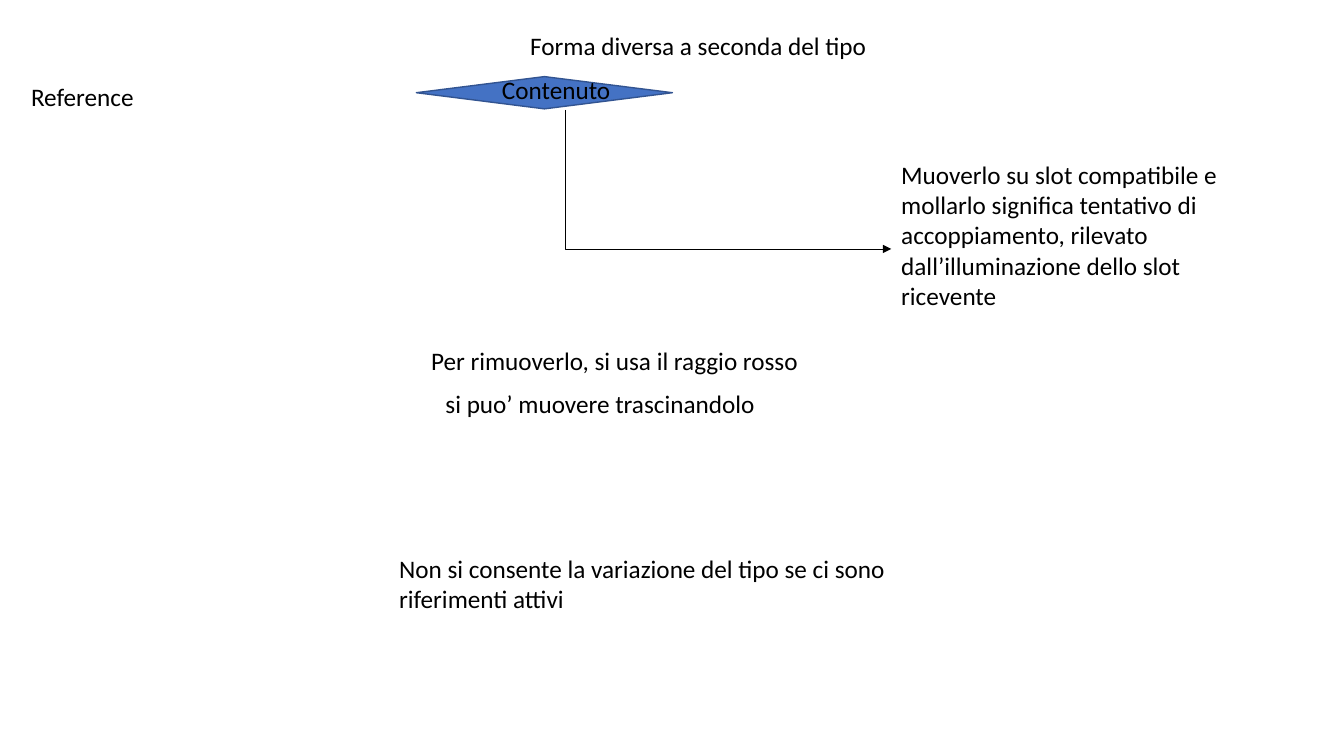
"""Builds the slide on how references to a content slot behave."""
from lxml import etree
from pptx import Presentation
from pptx.dml.color import RGBColor
from pptx.enum.shapes import MSO_CONNECTOR, MSO_SHAPE
from pptx.enum.text import MSO_AUTO_SIZE
from pptx.oxml.ns import qn
from pptx.util import Inches, Pt

DIAMOND = MSO_SHAPE.DIAMOND
ELBOW = MSO_CONNECTOR.ELBOW
GROW = MSO_AUTO_SIZE.SHAPE_TO_FIT_TEXT
FONT = "Calibri"
COLORS = {"text": "000000", "fill": "4472C4", "outline": "325491"}

NOTES = [
    ("Muoverlo su slot compatibile e mollarlo significa tentativo di "
     "accoppiamento, rilevato dall’illuminazione dello slot ricevente",
     8.84, 1.53, 3.63, 1.62),
    ("Forma diversa a seconda del tipo", 5.16, 0.25, 5.95, 0.4),
    ("Reference", 0.21, 0.76, 1.54, 0.71),
    ("Contenuto", 4.88, 0.69, 1.45, 0.4),
    (" Per rimuoverlo, si usa il raggio rosso", 4.12, 3.38, 5.95, 0.4),
    ("si puo’ muovere trascinandolo", 4.32, 3.8, 4.43, 0.4),
    ("Non si consente la variazione del tipo se ci sono riferimenti attivi",
     3.86, 5.44, 5.95, 0.71),
]


def color(name):
    """Return the named colour."""
    return RGBColor.from_string(COLORS[name])


def add_note(s, text, x, y, w, h):
    """Add a wrapped text box with one run."""
    sp = s.shapes.add_textbox(Inches(x), Inches(y), Inches(w), Inches(h))
    tf = sp.text_frame
    tf.word_wrap = True
    tf.auto_size = GROW
    r = tf.paragraphs[0].add_run()
    r.text = text
    r.font.name = FONT
    r.font.size = Pt(18)
    r.font.color.rgb = color("text")


def add_diamond(s, x, y, w, h):
    """Add the filled diamond behind the content label."""
    sp = s.shapes.add_shape(DIAMOND, Inches(x), Inches(y), Inches(w), Inches(h))
    sp.shadow.inherit = False
    sp.fill.solid()
    sp.fill.fore_color.rgb = color("fill")
    sp.line.color.rgb = color("outline")
    sp.line.width = Pt(1)


def add_corner_arrow(s, x1, y1, x2, y2):
    """Add an arrow that runs down, then right, with a single corner."""
    cx, cy = (x1 + x2) / 2, (y1 + y2) / 2
    half_w, half_h = (y2 - y1) / 2, (x2 - x1) / 2
    cxn = s.shapes.add_connector(
        ELBOW, Inches(cx + half_w), Inches(cy - half_h),
        Inches(cx - half_w), Inches(cy + half_h))
    cxn.line.color.rgb = color("text")
    cxn.line.width = Pt(0.5)
    spPr = cxn._element.spPr
    spPr.find(qn("a:xfrm")).set("rot", str(270 * 60000))
    spPr.find(qn("a:prstGeom")).set("prst", "bentConnector2")
    etree.SubElement(spPr.find(qn("a:ln")), qn("a:tailEnd"), type="triangle")
    etree.SubElement(spPr, qn("a:effectLst"))


def main():
    """Build and save the slide."""
    prs = Presentation()
    prs.slide_width, prs.slide_height = Inches(13.33), Inches(7.5)
    s = prs.slides.add_slide(prs.slide_layouts[6])
    add_diamond(s, 4.13, 0.76, 2.54, 0.32)
    for note in NOTES:
        add_note(s, *note)
    add_corner_arrow(s, 5.61, 1.09, 8.84, 2.47)
    prs.save("out.pptx")


if __name__ == "__main__":
    main()
